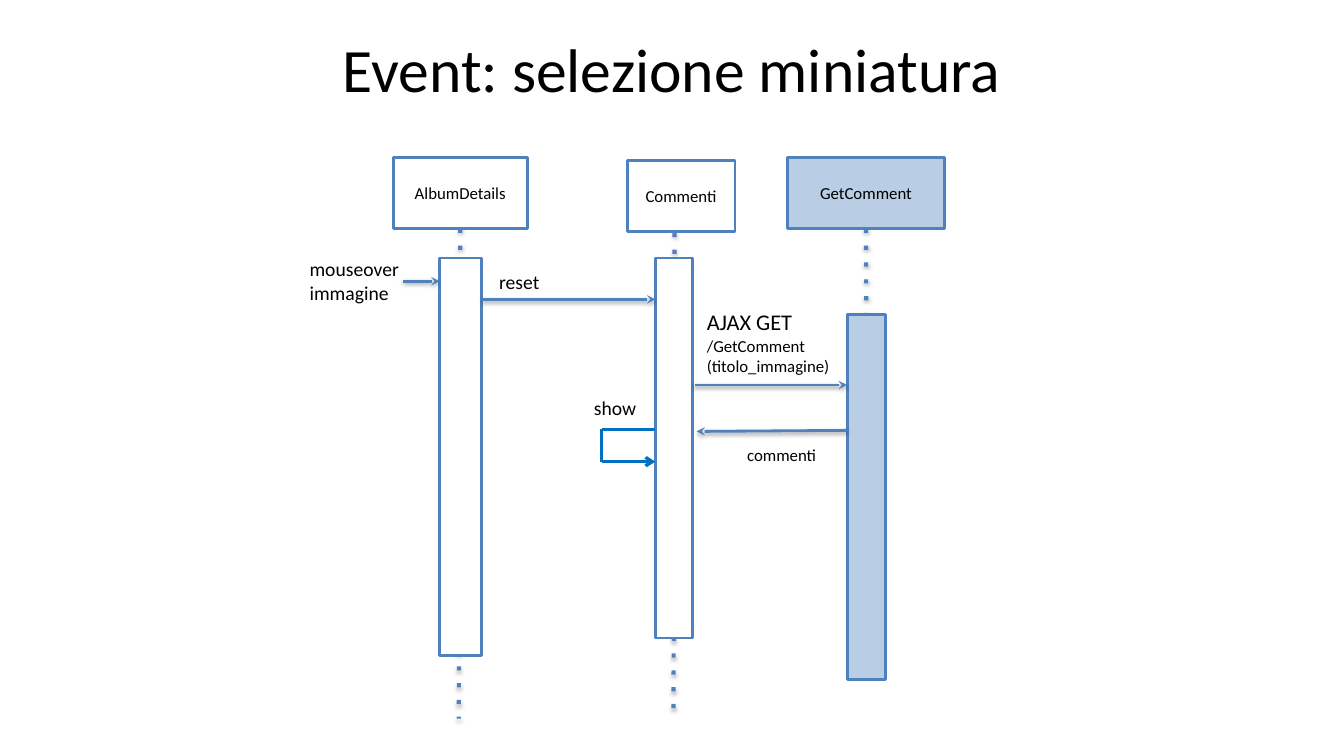
from itertools import pairwise

from lxml.etree import SubElement
from pptx import Presentation
from pptx.dml.color import RGBColor
from pptx.enum.shapes import MSO_CONNECTOR as Connector, MSO_SHAPE as Shape
from pptx.enum.text import MSO_ANCHOR as Anchor, PP_ALIGN as Align
from pptx.oxml.ns import qn
from pptx.util import Inches, Pt


def color(value):
    return RGBColor.from_string(value)


class SequenceDiagram:
    font = "Calibri"
    ink = "000000"
    blue = "4F81BD"
    bright = "0070C0"
    white = "FFFFFF"
    pale = "B9CDE5"

    def __init__(self, page):
        self.page = page

    def set_text(self, frame, lines, sizes, align, anchor, margins=(0.12, 0.06)):
        frame.word_wrap = True
        frame.vertical_anchor = anchor
        frame.margin_left = frame.margin_right = Inches(margins[0])
        frame.margin_top = frame.margin_bottom = Inches(margins[1])
        frame.text = "\n".join(lines)
        for para, size in zip(frame.paragraphs, sizes):
            para.alignment = align
            for span in para.runs:
                span.font.name = self.font
                span.font.size = Pt(size)
                span.font.color.rgb = color(self.ink)

    def title(self, text):
        box = self.page.shapes.title
        box.left, box.top, box.width, box.height = map(Inches, (0, 0.2, 13.33, 0.94))
        self.set_text(box.text_frame, [text], [44], Align.CENTER, Anchor.MIDDLE, (0.1, 0.05))

    def label(self, place, lines, sizes):
        box = self.page.shapes.add_textbox(*map(Inches, place))
        self.set_text(box.text_frame, lines, sizes, Align.LEFT, Anchor.TOP)

    def rectangle(self, place, fill, text=None):
        box = self.page.shapes.add_shape(Shape.RECTANGLE, *map(Inches, place))
        box.shadow.inherit = False
        box.fill.solid()
        box.fill.fore_color.rgb = color(fill)
        box.line.color.rgb = color(self.blue)
        box.line.width = Pt(2)
        if text:
            self.set_text(box.text_frame, [text], [12], Align.CENTER, Anchor.MIDDLE)
        return box

    def line(self, start, end, width, stroke=blue, dash=None, head=None, shadow=None):
        line = self.page.shapes.add_connector(
            Connector.STRAIGHT, *map(Inches, (*start, *end)))
        line.line.color.rgb = color(stroke)
        line.line.width = Pt(width)
        properties = line.element.spPr
        outline = properties.find(qn("a:ln"))
        if dash:
            SubElement(outline, qn("a:prstDash"), val=dash)
        if head:
            SubElement(outline, qn("a:tailEnd"), type=head)
        effects = SubElement(properties, qn("a:effectLst"))
        if shadow:
            opacity, distance = shadow
            outer = SubElement(effects, qn("a:outerShdw"), blurRad=str(Pt(3.1)),
                               dist=str(Pt(distance)), dir="5400000", rotWithShape="0")
            shade = SubElement(outer, qn("a:srgbClr"), val=self.ink)
            SubElement(shade, qn("a:alpha"), val=str(opacity * 1000))
        return line

    def lifeline(self, name, fill, head, bar, start, end, joins_head, joins_bar):
        line = self.line(start, end, 3, dash="dot", shadow=(35, 1.8))
        head_box = self.rectangle(head, fill, name)
        bar_box = self.rectangle(bar, fill)
        if joins_head:
            line.begin_connect(head_box, 2)
        if joins_bar:
            line.end_connect(bar_box, 2)

    def message(self, start, end):
        self.line(start, end, 2, head="stealth", shadow=(38, 1.6))

    def self_call(self, corners):
        steps = list(pairwise(corners))
        for step in steps:
            self.line(*step, 2.25, self.bright, head="arrow" if step == steps[-1] else None)


def main():
    deck = Presentation()
    deck.slide_width, deck.slide_height = Inches(13.33), Inches(7.5)
    diagram = SequenceDiagram(deck.slides.add_slide(deck.slide_layouts[5]))
    diagram.title("Event: selezione miniatura")

    lifelines = [
        ("Commenti", diagram.white, (6.22, 1.59, 1.07, 0.71), (6.5, 2.56, 0.37, 3.77),
         (6.69, 2.31), (6.68, 7.13), False, False),
        ("AlbumDetails", diagram.white, (3.9, 1.56, 1.33, 0.71), (4.36, 2.56, 0.42, 3.94),
         (4.55, 2.29), (4.55, 7.13), True, False),
        ("GetComment", diagram.pale, (7.81, 1.56, 1.56, 0.71), (8.41, 3.12, 0.37, 3.62),
         (8.59, 2.29), (8.59, 6.73), True, True),
    ]
    for lifeline in lifelines:
        diagram.lifeline(*lifeline)

    messages = [
        ((4, 2.79), (4.36, 2.79)),
        ((4.78, 2.97), (6.5, 2.97)),
        ((6.89, 3.82), (8.4, 3.82)),
        ((8.4, 4.27), (6.91, 4.28)),
    ]
    for start, end in messages:
        diagram.message(start, end)
    diagram.self_call([(6.5, 4.26), (5.97, 4.26), (5.97, 4.58), (6.5, 4.58)])

    labels = [
        ((2.95, 2.49, 1.52, 0.61), ["mouseover", "immagine"], [14, 14]),
        ((4.83, 2.62, 0.78, 0.37), ["reset"], [14]),
        ((5.77, 3.87, 0.78, 0.37), ["show"], [14]),
        ((6.89, 3, 1.71, 0.98), ["AJAX GET", "/GetComment (titolo_immagine)"], [16, 12]),
        ((7.29, 4.35, 2.46, 0.6), ["commenti"], [12]),
    ]
    for place, lines, sizes in labels:
        diagram.label(place, lines, sizes)

    deck.save("out.pptx")


if __name__ == "__main__":
    main()
